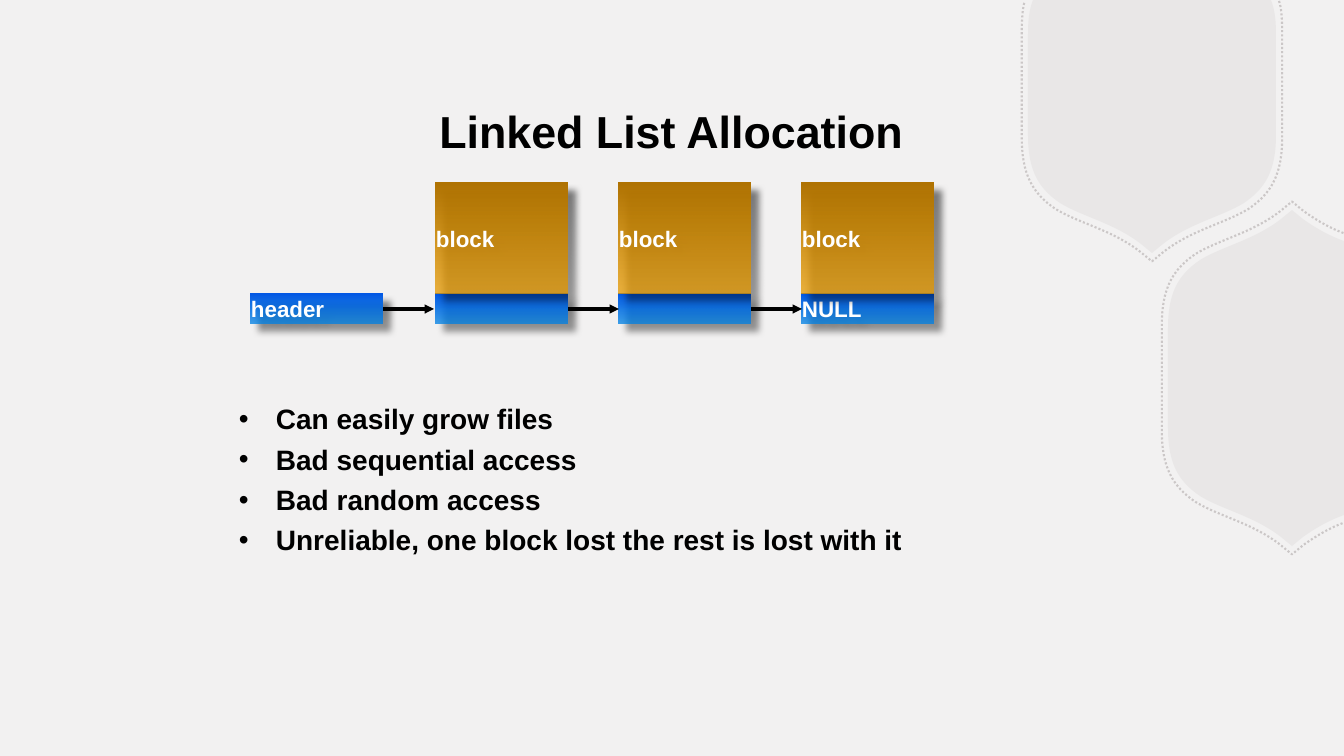
from dataclasses import dataclass

from lxml import etree
from pptx import Presentation
from pptx.dml.color import RGBColor
from pptx.enum.dml import MSO_LINE
from pptx.enum.shapes import MSO_CONNECTOR, MSO_SHAPE
from pptx.enum.text import MSO_ANCHOR, PP_ALIGN
from pptx.oxml.ns import qn
from pptx.util import Emu, Pt

RECTANGLE, STRAIGHT = MSO_SHAPE.RECTANGLE, MSO_CONNECTOR.STRAIGHT
MIDDLE, TOP = MSO_ANCHOR.MIDDLE, MSO_ANCHOR.TOP
LEFT, CENTER = PP_ALIGN.LEFT, PP_ALIGN.CENTER
DOTTED = MSO_LINE.ROUND_DOT
SLIDE_WIDTH, SLIDE_HEIGHT = 1344, 756
EMU_PER_PX = 12192000 / SLIDE_WIDTH


@dataclass(frozen=True)
class Theme:
    font: str = "Arial"
    background: str = "F2F1F1"
    decoration: str = "B8B2B2"
    ink: str = "000000"
    light: str = "FFFFFF"
    pointer: tuple = ("0057E5", "0082E5")
    data: tuple = ("B07302", "E59900")
    title_size: int = 32
    bullet_size: int = 20
    label_size: int = 16


THEME = Theme()


def px(length):
    return Emu(round(length * EMU_PER_PX))


def rgb(color):
    return RGBColor.from_string(color)


def add_child(parent, tag, **attributes):
    return etree.SubElement(parent, qn(tag), attributes)


def set_alpha(fill_element, percent):
    for color in fill_element.iter(qn("a:srgbClr")):
        add_child(color, "a:alpha", val=str(percent * 1000))


def add_run(paragraph, text, size, color):
    run = paragraph.add_run()
    run.text = text
    run.font.name, run.font.size, run.font.bold = THEME.font, Pt(size), True
    run.font.color.rgb = rgb(color)


def add_text_box(slide, box, anchor):
    frame = slide.shapes.add_textbox(*map(px, box)).text_frame
    frame.word_wrap = True
    frame.vertical_anchor = anchor
    return frame


# Background hexagons: half outlines as points, with L (line) and C (curve) steps
SHOULDER_TO_SIDE = [(11, 159), (38, 138), (69, 132), (92, 118), (114, 103), (124, 85), (124, 50)]
TOP_HEXAGON_STUB = [(123, -75), (124, -64), (124, -50)]
SIDE_HEXAGON_STUB = [(38, -142), (25, -149), (11, -159)]


def top_hexagon(start):
    half = [start] + TOP_HEXAGON_STUB + SHOULDER_TO_SIDE[::-1]
    return half + [(0, 168)] + [(-x, y) for x, y in half[::-1]], "CLCCLLCCLC"


def side_hexagon(start):
    half = [start] + SIDE_HEXAGON_STUB + [(0, -168)]
    half += [(-x, -y) for x, y in SHOULDER_TO_SIDE]
    return half + [(x, -y) for x, y in half[::-1]], "CLLCCLCCLLC"


def add_path(slide, center, scale, outline, close):
    points, steps = outline
    corners = [(px(center[0] + scale * x), px(center[1] + scale * y)) for x, y in points]
    builder = slide.shapes.build_freeform(*corners[0], scale=1.0)
    builder.add_line_segments(corners[1:], close=close)
    shape = builder.convert_to_shape()
    shape.shadow.inherit = False
    segments = iter(shape.element.findall(".//" + qn("a:lnTo")))
    for step in steps:
        segment = next(segments)
        if step == "C":
            segment_points = [segment[0], next(segments), next(segments)]
            curve = etree.Element(qn("a:cubicBezTo"))
            segment.addprevious(curve)
            curve.append(segment_points[0])
            curve.getparent().remove(segment)
            for control in segment_points[1:]:
                curve.append(control[0])
                control.getparent().remove(control)
    return shape


def add_hexagon(slide, center, area_outline, ring_outline):
    area = add_path(slide, center, 1, area_outline, True)
    area.fill.solid()
    area.fill.fore_color.rgb = rgb(THEME.decoration)
    set_alpha(area.element.spPr.find(qn("a:solidFill")), 15)
    area.line.fill.background()

    ring = add_path(slide, center, 1.05, ring_outline, False)
    ring.fill.background()
    ring.line.color.rgb = rgb(THEME.decoration)
    ring.line.width = Pt(1.5)
    ring.line.dash_style = DOTTED
    set_alpha(ring.element.spPr.find(qn("a:ln")), 65)


# Title
def add_title(slide, box, text):
    paragraph = add_text_box(slide, box, MIDDLE).paragraphs[0]
    paragraph.alignment = CENTER
    add_run(paragraph, text, THEME.title_size, THEME.ink)


# Linked list diagram
def add_cell(slide, box, colors, label):
    shape = slide.shapes.add_shape(RECTANGLE, *map(px, box))
    shape.fill.gradient()
    shape.fill.gradient_angle = 270
    for stop, color in zip(shape.fill.gradient_stops, colors):
        stop.color.rgb = rgb(color)
    properties = shape.element.spPr
    set_alpha(properties.findall(".//" + qn("a:gs"))[-1], 75)
    shape.line.fill.background()

    shape.shadow.inherit = False
    shadow = add_child(
        properties.find(qn("a:effectLst")), "a:outerShdw",
        blurRad=str(Pt(5)), dist=str(Pt(8)), dir=str(45 * 60000),
        algn="tl", rotWithShape="0",
    )
    add_child(shadow, "a:srgbClr", val=THEME.ink)
    set_alpha(shadow, 50)

    if label:
        frame = shape.text_frame
        frame.margin_left = frame.margin_right = 0
        frame.margin_top = frame.margin_bottom = 0
        frame.vertical_anchor = MIDDLE
        frame.paragraphs[0].alignment = LEFT
        add_run(frame.paragraphs[0], label, THEME.label_size, THEME.light)


def add_arrow(slide, start_x, end_x, y):
    arrow = slide.shapes.add_connector(STRAIGHT, px(end_x), px(y), px(start_x), px(y))
    arrow.line.color.rgb = rgb(THEME.ink)
    arrow.line.width = Pt(2.25)
    add_child(arrow.element.spPr.find(qn("a:ln")), "a:headEnd", type="triangle")
    add_child(arrow.element.spPr, "a:effectLst")


def add_linked_list(slide, box, pointer_labels):
    left, top, width, height = box
    cell_width, pointer_height, pitch = 132, 30, 183
    data_height = height - pointer_height
    pointer_top = top + data_height
    first_block = left + width - cell_width - 2 * pitch
    block_lefts = [first_block + i * pitch for i in range(len(pointer_labels))]

    add_cell(slide, (left, pointer_top, cell_width, pointer_height), THEME.pointer, "header")
    for x, label in zip(block_lefts, pointer_labels):
        add_cell(slide, (x, pointer_top, cell_width, pointer_height), THEME.pointer, label)
        add_cell(slide, (x, top, cell_width, data_height), THEME.data, "block")
    for source in [left] + block_lefts[:-1]:
        add_arrow(slide, source + cell_width, source + pitch, pointer_top + 15)


# Bullet list
def add_bullets(slide, box, lines):
    frame = add_text_box(slide, box, TOP)
    for index, line in enumerate(lines):
        paragraph = frame.add_paragraph() if index else frame.paragraphs[0]
        if index:
            paragraph.space_before = Pt(4.8)
        properties = paragraph._p.get_or_add_pPr()
        properties.set("marL", str(px(37)))
        properties.set("indent", str(-px(37)))
        bullet_color = add_child(properties, "a:buClr")
        add_child(bullet_color, "a:srgbClr", val=THEME.ink)
        add_child(properties, "a:buFont", typeface=THEME.font)
        add_child(properties, "a:buChar", char="•")
        add_run(paragraph, line, THEME.bullet_size, THEME.ink)


def main():
    presentation = Presentation()
    presentation.slide_width, presentation.slide_height = px(SLIDE_WIDTH), px(SLIDE_HEIGHT)
    slide = presentation.slides.add_slide(presentation.slide_layouts[6])
    slide.background.fill.solid()
    slide.background.fill.fore_color.rgb = rgb(THEME.background)

    add_hexagon(slide, (1152, 85), top_hexagon((119, -85)), top_hexagon((121, -80)))
    add_hexagon(slide, (1292, 378), side_hexagon((52, -137)), side_hexagon((49, -138)))
    add_title(slide, (243, 68, 857, 126), "Linked List Allocation")
    add_bullets(slide, (229, 397, 919, 209), [
        "Can easily grow files",
        "Bad sequential access",
        "Bad random access",
        "Unreliable, one block lost the rest is lost with it",
    ])
    add_linked_list(slide, (251, 183, 683, 141), ["", "", "NULL"])
    presentation.save("out.pptx")


if __name__ == "__main__":
    main()
